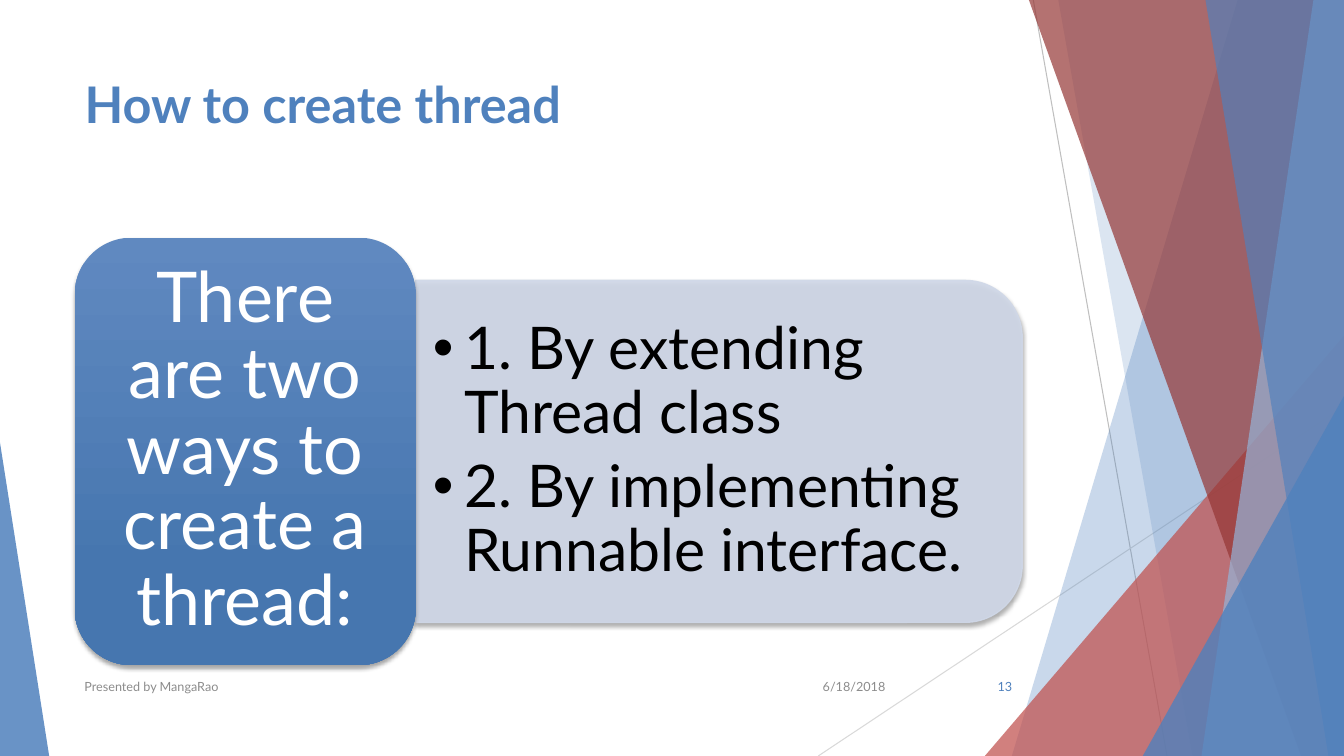
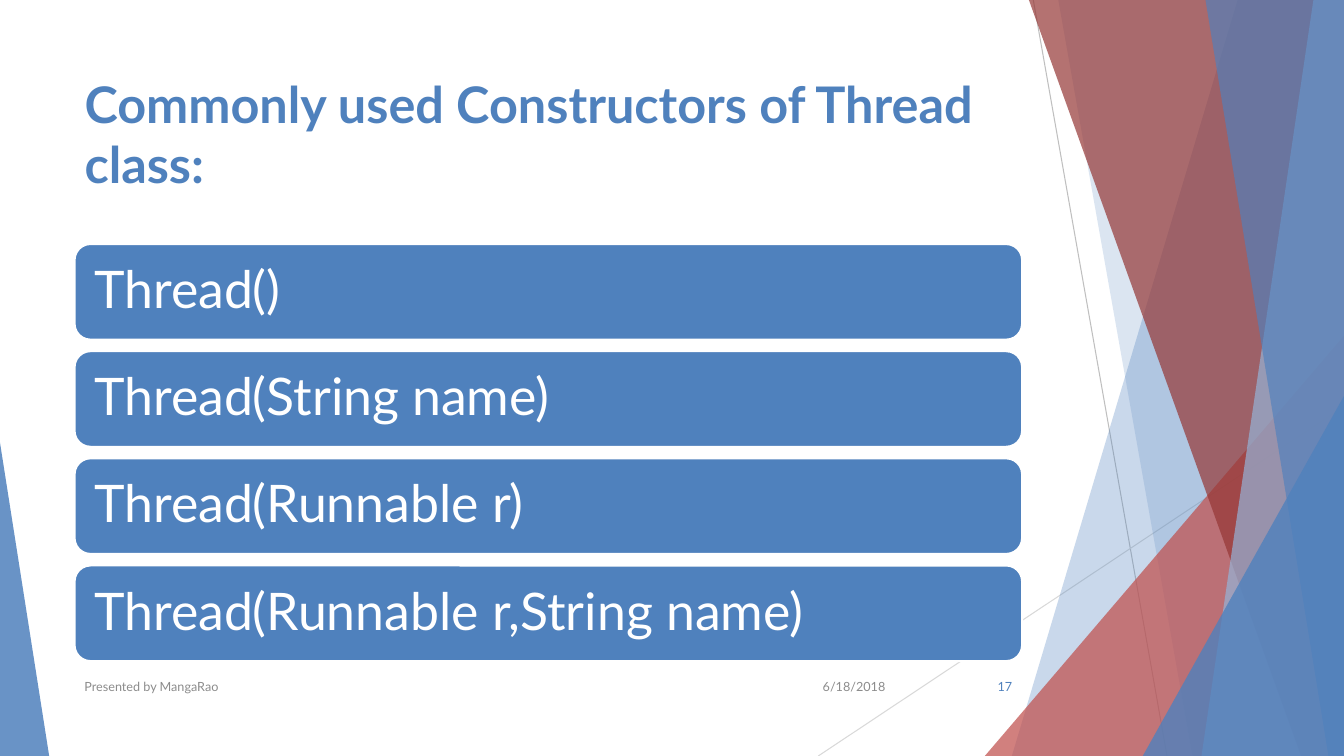
from lxml.etree import SubElement
from pptx import Presentation
from pptx.dml.color import RGBColor
from pptx.enum.shapes import MSO_CONNECTOR, MSO_SHAPE
from pptx.enum.text import MSO_ANCHOR, MSO_AUTO_SIZE, PP_ALIGN
from pptx.oxml.ns import qn
from pptx.util import Cm, Pt

FONT = "Lato"
BLUE = "4F81BD"
RED = "C0504D"
DARK_RED = "953735"
PALE_BLUE = "95B3D7"
PANEL = "D0D8E8"
WHITE = "FFFFFF"
BLACK = "000000"
GREY = "8C8C8C"
RULE_DARK = "BFBFBF"
RULE_LIGHT = "D9D9D9"

PAGE = (0, 0, 33.87, 19.05)
TITLE = (1.88, 1.7, 23.88, 3.66)
WAYS = (1.88, 5.99, 23.88, 10.77)
CONSTRUCTORS = (1.88, 6.15, 23.88, 10.51)
FOOTER = (1.88, 16.79, 23.88, 1.02)


def paint(colour, hex_value, opacity=100):
    colour.rgb = RGBColor.from_string(hex_value)
    if opacity < 100:
        tint = colour._xFill.find(qn("a:srgbClr"))
        SubElement(tint, qn("a:alpha"), val=str(opacity * 1000))


def place(part, box):
    part.left, part.top, part.width, part.height = map(Cm, box)


def fill_plain(part, hex_value, opacity=100):
    part.shadow.inherit = False
    part.fill.solid()
    paint(part.fill.fore_color, hex_value, opacity)
    part.line.fill.background()


def add_part(slide, preset, box, hex_value, opacity=100):
    part = slide.shapes.add_shape(preset, *map(Cm, box))
    fill_plain(part, hex_value, opacity)
    return part


def cast_shadow(part):
    effects = part._element.spPr.find(qn("a:effectLst"))
    shadow = SubElement(effects, qn("a:outerShdw"), blurRad=str(Pt(3)),
                        dist=str(Pt(2)), dir="5400000", rotWithShape="0")
    tint = SubElement(shadow, qn("a:srgbClr"), val=BLACK)
    SubElement(tint, qn("a:alpha"), val="35000")


def add_bullet(paragraph, indent):
    properties = paragraph._p.get_or_add_pPr()
    properties.set("marL", str(Cm(indent)))
    properties.set("indent", str(-Cm(indent)))
    SubElement(properties, qn("a:buChar"), char="•")


def write(frame, text, size=9, colour=WHITE, bold=False, align=PP_ALIGN.LEFT,
          anchor=MSO_ANCHOR.MIDDLE, inset=(0.25, 0.13), spacing=1.0,
          after=0, bullet_indent=0):
    frame.word_wrap = True
    frame.auto_size = MSO_AUTO_SIZE.NONE
    frame.vertical_anchor = anchor
    frame.margin_left = frame.margin_right = Cm(inset[0])
    frame.margin_top = frame.margin_bottom = Cm(inset[1])
    frame.text = text
    for paragraph in frame.paragraphs:
        if bullet_indent:
            add_bullet(paragraph, bullet_indent)
        paragraph.alignment = align
        paragraph.line_spacing = spacing
        paragraph.space_before = Pt(0)
        paragraph.space_after = Pt(after)
        for run in paragraph.runs:
            run.font.name = FONT
            run.font.size = Pt(size)
            run.font.bold = bold
            paint(run.font.color, colour)


def add_rule(slide, start, end, hex_value):
    rule = slide.shapes.add_connector(MSO_CONNECTOR.STRAIGHT,
                                      *map(Cm, start + end))
    paint(rule.line.color, hex_value)
    rule.line.width = Pt(0.75)
    SubElement(rule._element.spPr, qn("a:effectLst"))


def add_sheet(slide, box, top_x, bottom_x, hex_value, opacity):
    left, top, width, height = box
    right, bottom = left + width, top + height
    outline = slide.shapes.build_freeform(Cm(left + top_x), Cm(top))
    corners = [(right, top), (right, bottom), (left + bottom_x, bottom)]
    outline.add_line_segments([(Cm(x), Cm(y)) for x, y in corners])
    fill_plain(outline.convert_to_shape(), hex_value, opacity)


def add_wedge(slide, box, span, top_y, peak, hex_value, opacity):
    left, top, width, height = box
    start, end = span
    wedge = add_part(slide, MSO_SHAPE.ISOSCELES_TRIANGLE,
                     (left + start, top + top_y, end - start, height - top_y),
                     hex_value, opacity)
    wedge.adjustments[0] = peak


def add_backdrop(slide, box):
    left, top, width, height = box
    right, bottom = left + width, top + height
    add_rule(slide, (left + 26.04, top), (left + 29.41, bottom), RULE_DARK)
    add_rule(slide, (right, top + 10.24), (left + 20.62, bottom), RULE_LIGHT)
    add_sheet(slide, box, 31.19, 25.5, BLUE, 30)
    add_sheet(slide, box, 26.67, 30.05, BLUE, 20)
    add_wedge(slide, box, (24.82, width), 8.46, 1, RED, 72)
    add_sheet(slide, box, 25.93, 32.79, DARK_RED, 70)
    add_sheet(slide, box, 33.1, 30.28, PALE_BLUE, 70)
    add_sheet(slide, box, 30.38, 33.48, BLUE, 65)
    add_wedge(slide, box, (28.8, width), 9.98, 1, BLUE, 80)
    add_wedge(slide, box, (0, 1.24), 11.15, 0, BLUE, 85)


def move_to_master(slide, master):
    for part in list(slide.shapes):
        if not part.is_placeholder:
            master.shapes._spTree.append(part._element)


def add_title(slide, box, text):
    place(slide.shapes.title, box)
    write(slide.shapes.title.text_frame, text, size=36, colour=BLUE, bold=True,
          anchor=MSO_ANCHOR.TOP)


def add_footer(slide, box, number):
    left, top, width, height = box
    right = left + width
    entries = [
        ("6/18/2018", right - 5.74, 2.54, PP_ALIGN.RIGHT, GREY),
        ("Presented by MangaRao", left, 17.5, PP_ALIGN.LEFT, GREY),
        (number, right - 1.91, 1.91, PP_ALIGN.RIGHT, BLUE),
    ]
    for text, x, entry_width, align, colour in entries:
        entry = slide.shapes.add_textbox(*map(Cm, (x, top, entry_width, height)))
        write(entry.text_frame, text, colour=colour, align=align)


def add_ways(slide, box, heading, ways):
    left, top, width, height = box
    heading_width = width * 0.36
    panel_left, panel_width = left + heading_width, width - heading_width
    panel_height = height * 0.8
    middle_x, middle_y = panel_left + panel_width / 2, top + height / 2

    panel = add_part(slide, MSO_SHAPE.ROUND_2_SAME_RECTANGLE,
                     (middle_x - panel_height / 2, middle_y - panel_width / 2,
                      panel_height, panel_width), PANEL, 90)
    panel.rotation = 90
    paint(panel.line.color, PANEL, 90)
    panel.line.width = Pt(1)
    cast_shadow(panel)

    ways_list = slide.placeholders[1]
    list_height = panel_height * 0.9
    place(ways_list, (panel_left, middle_y - list_height / 2,
                      panel_width - 0.42, list_height))
    write(ways_list.text_frame, "\n".join(ways), size=42, colour=BLACK,
          inset=(0.43, 0.23), spacing=0.9, after=8, bullet_indent=0.79)
    slide.shapes._spTree.append(ways_list._element)

    block = add_part(slide, MSO_SHAPE.ROUNDED_RECTANGLE,
                     (left, top, heading_width, height), BLUE)
    block.fill.gradient()
    block.fill.gradient_angle = 270
    shades = [(0, "6089C0"), (0.78, "4676AF")]
    for stop, (position, shade) in zip(block.fill.gradient_stops, shades):
        stop.position = position
        paint(stop.color, shade)
    cast_shadow(block)
    write(block.text_frame, heading, size=50, align=PP_ALIGN.CENTER,
          inset=(0.53, 0.25), spacing=0.9)


def add_constructors(slide, box, signatures):
    left, top, width, height = box
    gap = 0.29
    bar_height = (height + gap) / len(signatures) - gap
    for index, signature in enumerate(signatures):
        bar = add_part(slide, MSO_SHAPE.ROUNDED_RECTANGLE,
                       (left, top + index * (bar_height + gap),
                        width, bar_height), BLUE)
        paint(bar.line.color, WHITE)
        bar.line.width = Pt(1.5)
        write(bar.text_frame, signature, size=37, inset=(0.38, 0.38),
              spacing=0.9)


def main():
    deck = Presentation()
    deck.slide_width, deck.slide_height = map(Cm, PAGE[2:])
    content_layout, title_layout = deck.slide_layouts[1], deck.slide_layouts[5]

    creation = deck.slides.add_slide(content_layout)
    add_backdrop(creation, PAGE)
    move_to_master(creation, deck.slide_master)
    add_title(creation, TITLE, "How to create thread")
    add_ways(creation, WAYS, "There are two ways to create a thread:",
             ["1. By extending Thread class",
              "2. By implementing Runnable interface."])
    add_footer(creation, FOOTER, "13")

    constructors = deck.slides.add_slide(title_layout)
    add_title(constructors, TITLE, "Commonly used Constructors of Thread class:")
    add_constructors(constructors, CONSTRUCTORS,
                     ["Thread()", "Thread(String name)", "Thread(Runnable r)",
                      "Thread(Runnable r,String name)"])
    add_footer(constructors, FOOTER, "17")

    deck.save("out.pptx")


if __name__ == "__main__":
    main()
